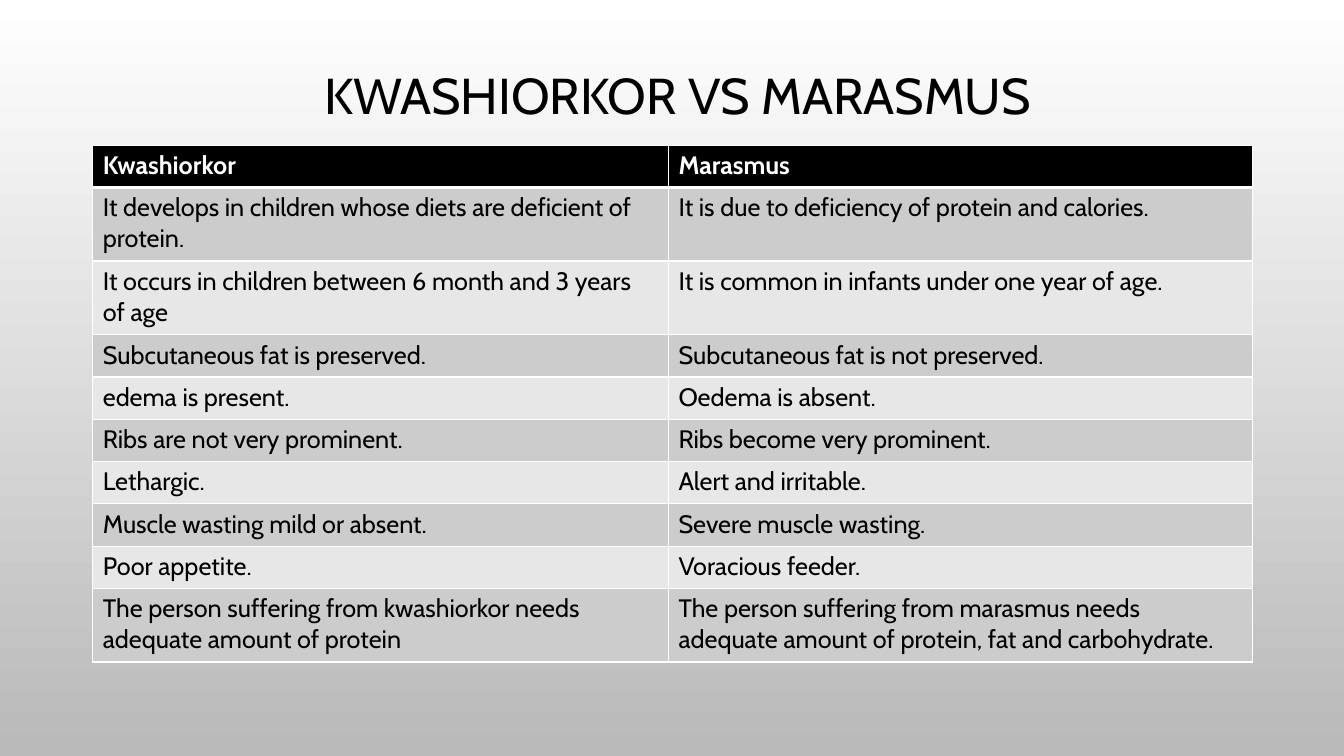
from pptx import Presentation
from pptx.dml.color import RGBColor
from pptx.enum.text import MSO_ANCHOR, PP_ALIGN
from pptx.oxml.ns import qn
from pptx.util import Inches, Pt
from lxml import etree

CENTER = PP_ALIGN.CENTER
MIDDLE = MSO_ANCHOR.MIDDLE

FONT = "Cabin"
COLORS = {
    "black": "000000",
    "white": "FFFFFF",
    "base": "B9B9B9",
    "dark": "CCCCCC",
    "light": "E7E7E7",
}
TITLE = "KWASHIORKOR VS MARASMUS"
ROWS = [
    ("Kwashiorkor", "Marasmus"),
    ("It develops in children whose diets are deficient of protein.",
     "It is due to deficiency of protein and calories."),
    ("It occurs in children between 6 month and 3 years of age",
     "It is common in infants under one year of age."),
    ("Subcutaneous fat is preserved.", "Subcutaneous fat is not preserved."),
    ("edema is present.", "Oedema is absent."),
    ("Ribs are not very prominent.", "Ribs become very prominent."),
    ("Lethargic.", "Alert and irritable."),
    ("Muscle wasting mild or absent.", "Severe muscle wasting."),
    ("Poor appetite.", "Voracious feeder."),
    ("The person suffering from kwashiorkor needs adequate amount of protein",
     "The person suffering from marasmus needs adequate amount of protein, "
     "fat and carbohydrate."),
]
WIDTHS = (5.71, 5.79)
LEFT, TOP = 0.92, 1.44
ONE_LINE, TWO_LINES = 0.42, 0.73
WRAP = 50  # characters that fit on one line of a cell


def color(name):
    return RGBColor.from_string(COLORS[name])


def style(para, size, tint, bold=False):
    font = para.font
    font.name, font.size, font.bold = FONT, Pt(size), bold
    font.color.rgb = color(tint)


def border(cell, row):
    """Draw white cell edges, thick between the header and the body."""
    props = cell._tc.get_or_add_tcPr()
    thick = {0: "lnB", 1: "lnT"}.get(row)
    for side in ("lnL", "lnR", "lnT", "lnB"):
        width = Pt(3 if side == thick else 1)
        line = etree.SubElement(props, qn("a:" + side), w=str(width))
        fill = etree.SubElement(line, qn("a:solidFill"))
        etree.SubElement(fill, qn("a:srgbClr"), val=COLORS["white"])


def add_title(slide):
    title = slide.shapes.title
    title.left, title.top = Inches(LEFT), Inches(0.4)
    title.width, title.height = Inches(sum(WIDTHS)), Inches(1.14)
    frame = title.text_frame
    frame.text = TITLE
    frame.vertical_anchor = MIDDLE
    frame.margin_left = Inches(0.2)
    para = frame.paragraphs[0]
    para.alignment = CENTER
    para.line_spacing = 0.9
    style(para, 36, "black")


def add_rows(slide):
    heights = [TWO_LINES if max(map(len, row)) > WRAP else ONE_LINE
               for row in ROWS]
    table = slide.shapes.add_table(
        len(ROWS), len(WIDTHS), Inches(LEFT), Inches(TOP),
        Inches(sum(WIDTHS)), Inches(sum(heights))).table
    for col, width in zip(table.columns, WIDTHS):
        col.width = Inches(width)
    for i, texts in enumerate(ROWS):
        table.rows[i].height = Inches(heights[i])
        head = i == 0
        shade = "black" if head else "dark" if i % 2 else "light"
        for j, text in enumerate(texts):
            cell = table.cell(i, j)
            cell.text = text
            border(cell, i)
            cell.fill.solid()
            cell.fill.fore_color.rgb = color(shade)
            style(cell.text_frame.paragraphs[0], 18,
                  "white" if head else "black", head)


def main():
    deck = Presentation()
    deck.slide_width, deck.slide_height = Inches(13.33), Inches(7.5)
    slide = deck.slides.add_slide(deck.slide_layouts[5])
    back = slide.background.fill
    back.gradient()
    back.gradient_angle = 270
    for stop, place, name in zip(back.gradient_stops, (0, 1),
                                 ("white", "base")):
        stop.position = place
        stop.color.rgb = color(name)
    add_title(slide)
    add_rows(slide)
    deck.save("out.pptx")


if __name__ == "__main__":
    main()
